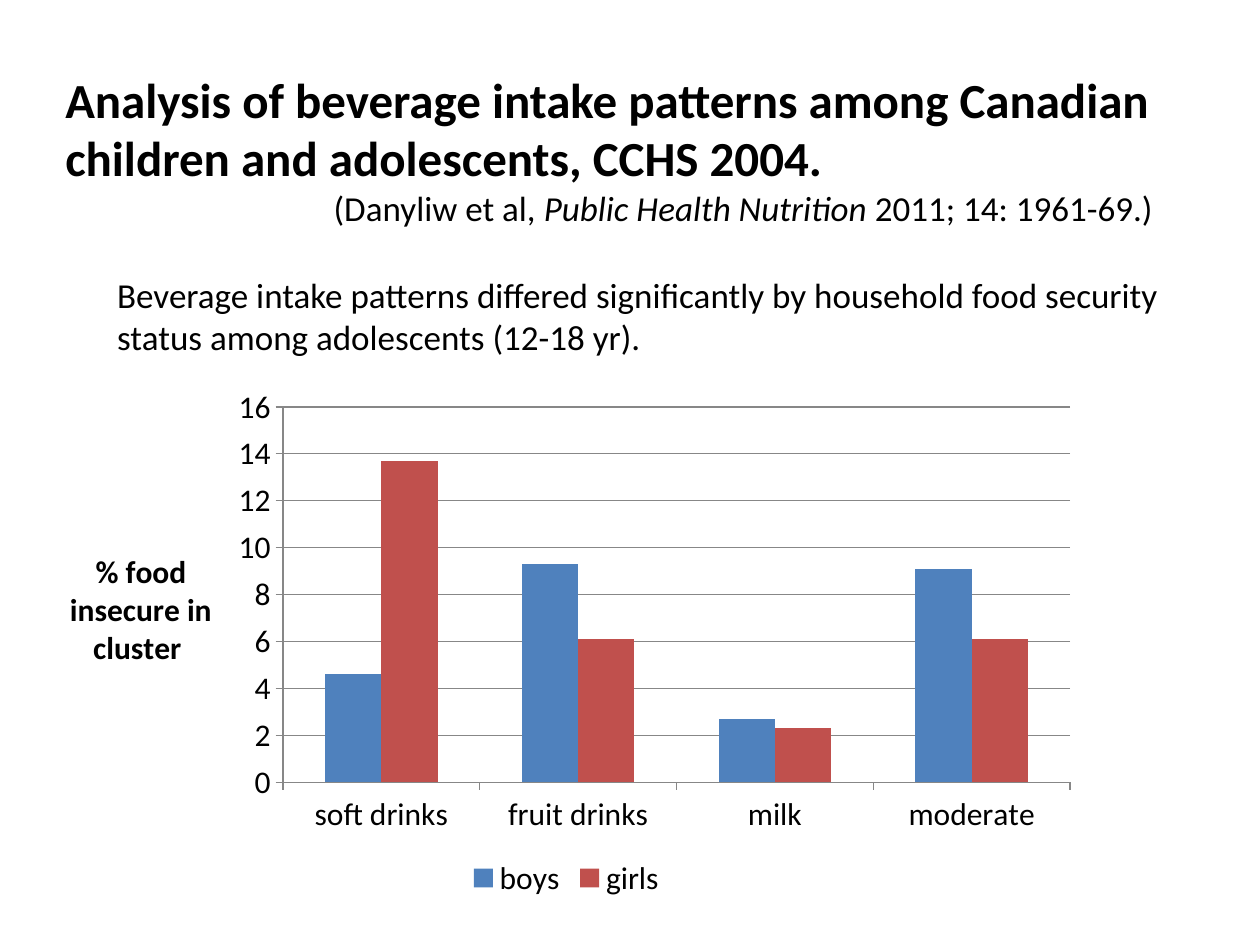
from pptx import Presentation
from pptx.chart.data import CategoryChartData as ChartData
from pptx.dml.color import RGBColor as Rgb
from pptx.enum.chart import XL_CHART_TYPE as ChartType, XL_LEGEND_POSITION as LegendPosition
from pptx.enum.chart import XL_TICK_MARK as TickMark
from pptx.enum.text import MSO_ANCHOR as Anchor, MSO_AUTO_SIZE as AutoSize, PP_ALIGN as Align
from pptx.oxml import parse_xml
from pptx.oxml.ns import nsdecls, qn
from pptx.util import Inches, Pt

COLORS = {"text": "000000", "back": "FFFFFF", "axis": "878787", "boys": "4F81BD", "girls": "C0504D"}
PLOT_LAYOUT = {"x": 0.23, "y": 0.055, "w": 0.75, "h": 0.715}


class SlideBuilder:
    """Holds the style and the current slide, and adds each kind of element."""

    def __init__(self, deck, font="Calibri"):
        self.font = font
        self.slide = deck.slides.add_slide(deck.slide_layouts[5])

    def color(self, name):
        return Rgb.from_string(COLORS[name])

    def style(self, font, size, bold=False, italic=False):
        font.name, font.size = self.font, Pt(size)
        font.bold, font.italic = bold, italic
        font.color.rgb = self.color("text")

    def add_runs(self, para, runs, size, bold=False, align=Align.LEFT):
        para.alignment = align
        for text, italic in runs:
            span = para.add_run()
            span.text = text
            self.style(span.font, size, bold, italic)

    def title(self, text, left, top, width, height, size):
        box = self.slide.shapes.title
        box.left, box.top = Inches(left), Inches(top)
        box.width, box.height = Inches(width), Inches(height)
        frame = box.text_frame
        frame.auto_size, frame.vertical_anchor = AutoSize.NONE, Anchor.MIDDLE
        self.add_runs(frame.paragraphs[0], [(text, False)], size)

    def heading(self, text, citation, left, top, width, height):
        box = self.slide.shapes.add_textbox(Inches(left), Inches(top), Inches(width), Inches(height))
        frame = box.text_frame
        frame.word_wrap = True
        self.add_runs(frame.paragraphs[0], [(text, False)], 28, bold=True)
        self.add_runs(frame.add_paragraph(), citation, 20, align=Align.RIGHT)

    def format_line(self, line):
        line.color.rgb = self.color("axis")
        line.width = Pt(0.75)

    def column_chart(self, categories, series, axis_title, left, top, width, height):
        data = ChartData()
        data.categories = categories
        for name, values in series.items():
            data.add_series(name, values)
        chart = self.slide.shapes.add_chart(
            ChartType.COLUMN_CLUSTERED, Inches(left), Inches(top), Inches(width), Inches(height), data
        ).chart
        chart.has_title = False
        self.style(chart.font, 18)
        plot = chart.plots[0]
        plot.gap_width, plot.overlap, plot.vary_by_categories = 150, 0, False
        for column in plot.series:
            column.format.fill.solid()
            column.format.fill.fore_color.rgb = self.color(column.name)
        for axis in (chart.category_axis, chart.value_axis):
            axis.major_tick_mark, axis.minor_tick_mark = TickMark.OUTSIDE, TickMark.NONE
            self.style(axis.tick_labels.font, 18)
            self.format_line(axis.format.line)
        value_axis = chart.value_axis
        value_axis.minimum_scale, value_axis.maximum_scale, value_axis.major_unit = 0, 16, 2
        value_axis.has_major_gridlines = True
        self.format_line(value_axis.major_gridlines.format.line)
        frame = value_axis.axis_title.text_frame
        self.add_runs(frame.paragraphs[0], [(axis_title, False)], 18, bold=True, align=Align.CENTER)
        chart.has_legend = True
        chart.legend.position, chart.legend.include_in_layout = LegendPosition.BOTTOM, False
        self.style(chart.legend.font, 18)
        self.arrange_chart(chart)

    def arrange_chart(self, chart):
        root = chart.element if hasattr(chart, "element") else chart._chartSpace
        body = root.find(".//" + qn("c:valAx") + "/" + qn("c:title") + "//" + qn("a:bodyPr"))
        body.set("rot", "0")
        body.set("vert", "horz")
        area = root.find(".//" + qn("c:plotArea"))
        for layout in area.findall(qn("c:layout")):
            area.remove(layout)
        places = "".join(f'<c:{key} val="{value}"/>' for key, value in PLOT_LAYOUT.items())
        area.insert(0, parse_xml(
            f'<c:layout {nsdecls("c")}><c:manualLayout><c:layoutTarget val="inner"/>'
            f'<c:xMode val="edge"/><c:yMode val="edge"/>{places}</c:manualLayout></c:layout>'
        ))
        area.append(parse_xml(
            f'<c:spPr {nsdecls("c", "a")}><a:solidFill><a:srgbClr val="{COLORS["back"]}"/></a:solidFill></c:spPr>'
        ))


def main():
    deck = Presentation()
    deck.slide_width, deck.slide_height = Inches(10), Inches(7.5)
    page = SlideBuilder(deck)
    page.title(
        "Beverage intake patterns differed significantly by household food security "
        "status among adolescents (12-18 yr).",
        0.83, 2, 8.58, 1, size=20,
    )
    page.column_chart(
        ["soft drinks", "fruit drinks", "milk", "moderate"],
        {"boys": [4.6, 9.3, 2.7, 9.1], "girls": [13.7, 6.1, 2.3, 6.1]},
        "% food insecure in cluster ",
        0.33, 3, 8.33, 4.17,
    )
    page.heading(
        "Analysis of beverage intake patterns among Canadian children and adolescents, CCHS 2004.",
        [("(Danyliw et al, ", False), ("Public Health Nutrition ", True), ("2011; 14: 1961-69.)", False)],
        0.42, 0.5, 8.83, 1.37,
    )
    deck.save("out.pptx")


if __name__ == "__main__":
    main()
